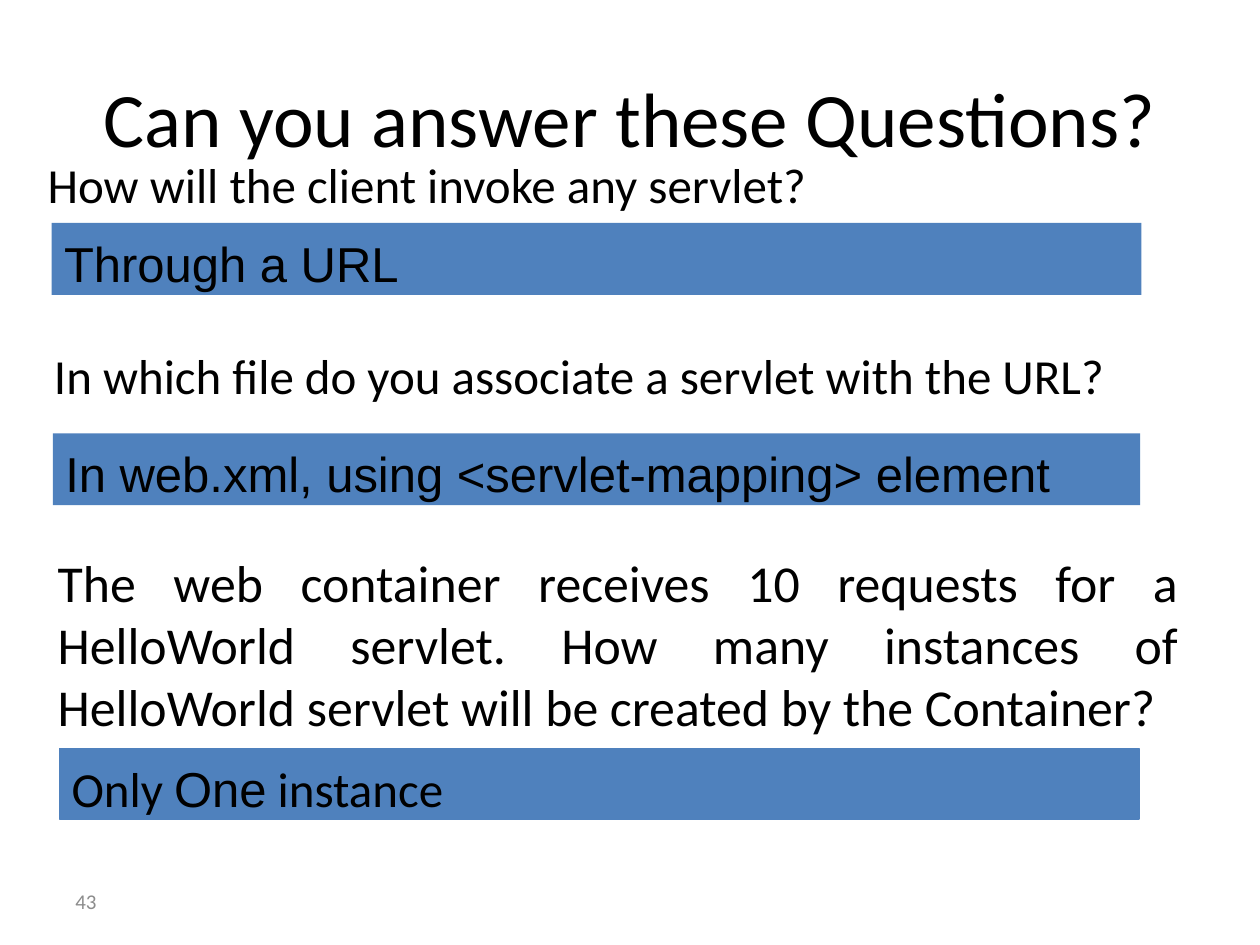
from pptx import Presentation, util as u
from pptx.dml.color import RGBColor
from pptx.enum import shapes, text

COLUMNS, ROWS = 100, 75  # grid over the 10 x 7.5 inch slide
BLACK, BLUE, GREY = "000000", "4F81BD", "8C8C8C"


def color(value):
    return RGBColor.from_string(value)


class Deck:
    """Holds the style, the presentation and the current slide."""

    text_format = {"name": "Calibri", "size": u.Pt(28)}
    frame_format = {"word_wrap": True, "vertical_anchor": text.MSO_ANCHOR.TOP}

    def __init__(self):
        self.presentation = Presentation()
        self.presentation.slide_width = u.Inches(10)
        self.presentation.slide_height = u.Inches(7.5)
        blank = self.presentation.slide_layouts[6]
        self.slide = self.presentation.slides.add_slide(blank)

    def place(self, column, row, columns, rows):
        width = self.presentation.slide_width / COLUMNS
        height = self.presentation.slide_height / ROWS
        return [round(n) for n in (column * width, row * height,
                                   columns * width, rows * height)]

    def set_text(self, shape, runs, align=text.PP_ALIGN.LEFT, ink=BLACK,
                 frame=None, **font):
        """Fill a shape with one paragraph of (text, font name) runs."""
        for key, value in {**self.frame_format, **(frame or {})}.items():
            setattr(shape.text_frame, key, value)
        paragraph = shape.text_frame.paragraphs[0]
        paragraph.alignment = align
        for words, name in runs:
            run = paragraph.add_run()
            run.text = words
            run.font.color.rgb = color(ink)
            for key, value in {**self.text_format, "name": name, **font}.items():
                setattr(run.font, key, value)

    def label(self, box, words, **style):
        shape = self.slide.shapes.add_textbox(*self.place(*box))
        self.set_text(shape, [(words, "Calibri")], **style)

    def bar(self, box, runs, outlined=False):
        shape = self.slide.shapes.add_shape(
            shapes.MSO_SHAPE.RECTANGLE, *self.place(*box))
        shape.shadow.inherit = False
        shape.fill.solid()
        shape.fill.fore_color.rgb = color(BLUE)
        if outlined:
            shape.line.color.rgb = color(BLUE)
            shape.line.width = u.Pt(0.75)
        else:
            shape.line.fill.background()
        self.set_text(shape, runs, frame={"margin_top": u.Inches(0.08),
                                          "margin_bottom": 0})


def main():
    deck = Deck()
    middle = {"vertical_anchor": text.MSO_ANCHOR.MIDDLE}

    # Title
    deck.label((5, 3, 90, 12.5), "Can you answer these Questions?",
               align=text.PP_ALIGN.CENTER, frame=middle, size=u.Pt(44))

    # Questions
    deck.label((2.8, 11.8, 92.5, 5.9), "How will the client invoke any servlet?")
    deck.label((3.3, 26.9, 90.8, 5.9),
               "In which file do you associate a servlet with the URL?")
    deck.label((3.6, 43.2, 91, 14.6),
               "The web container receives 10 requests for a HelloWorld servlet. "
               "How many instances of HelloWorld servlet will be created by the "
               "Container?", align=text.PP_ALIGN.JUSTIFY, size=u.Pt(29.6))

    # Answers
    deck.bar((4.1, 17.7, 86.5, 5.7), [("Through a URL", "Arial")])
    deck.bar((4.2, 34.4, 86.3, 5.7),
             [("In web.xml, using <servlet-mapping> element", "Arial")])
    deck.bar((4.7, 59.4, 85.7, 5.6),
             [("Only ", "Calibri"), ("One", "Arial"), (" instance", "Calibri")],
             outlined=True)

    # Slide number
    deck.label((5, 69.5, 23.3, 4), "43", ink=GREY, frame=middle, size=u.Pt(12))

    deck.presentation.save("out.pptx")


if __name__ == "__main__":
    main()
